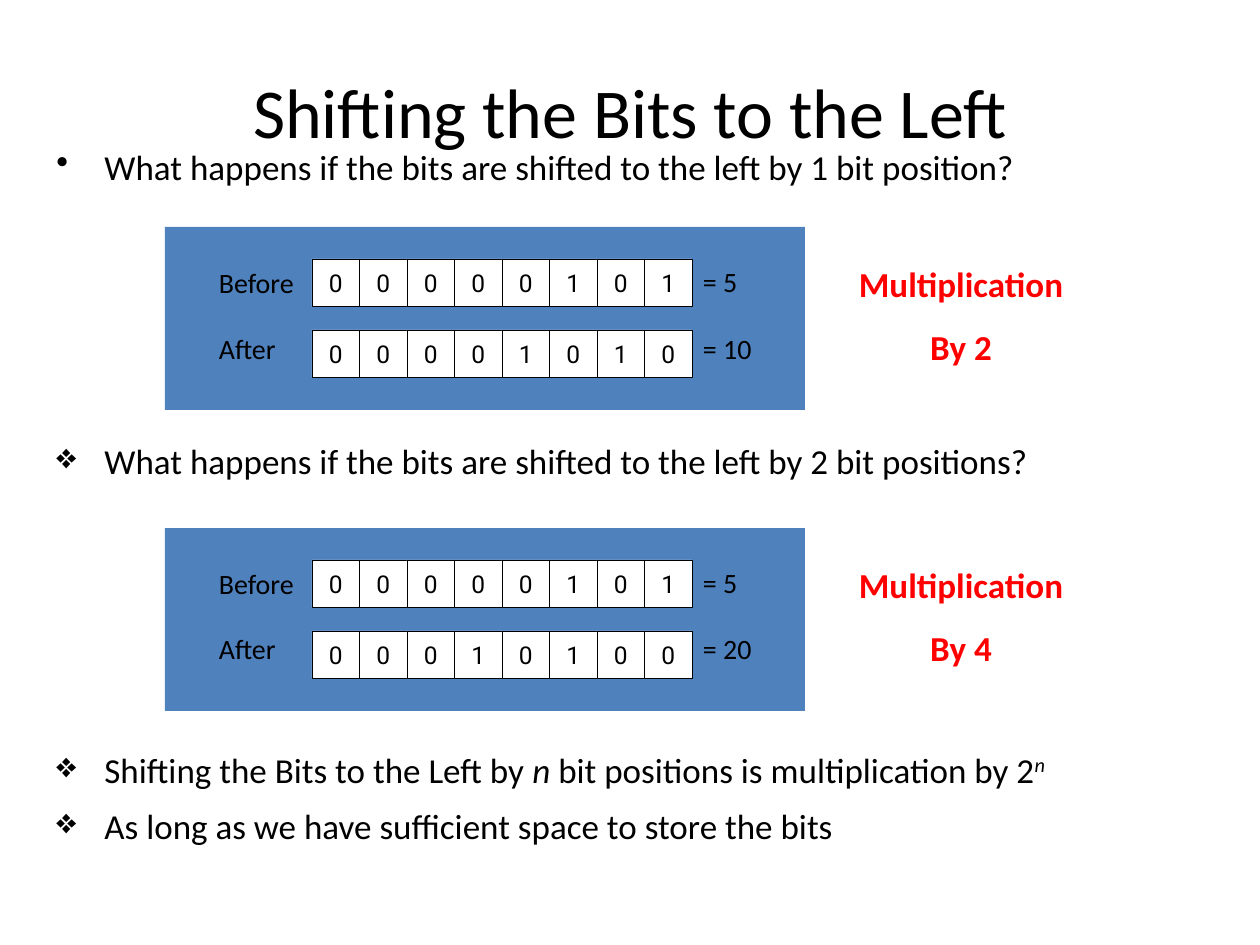
from lxml.etree import SubElement
from pptx import Presentation
from pptx.dml.color import RGBColor
from pptx.enum.shapes import MSO_SHAPE
from pptx.enum.text import MSO_ANCHOR, PP_ALIGN
from pptx.oxml.ns import qn
from pptx.util import Pt

TITLE = "Shifting the Bits to the Left"
# Bullet boxes: top, height, bullet character, paragraphs of (text, style) runs
BULLETS = [
    (139, 72, "•", [[("What happens if the bits are shifted to the left by 1 bit position?", "")]]),
    (433, 72, "❖", [[("What happens if the bits are shifted to the left by 2 bit positions?", "")]]),
    (742, 159, "❖", [
        [("Shifting the Bits to the Left by ", ""), ("n", "italic"),
         (" bit positions is multiplication by 2", ""), ("n", "superscript")],
        [("As long as we have sufficient space to store the bits", "")],
    ]),
]
# Panels: top, rows of (label, bits, result), conclusion
PANELS = [
    (227, [("Before", "00000101", "= 5"), ("After", "00001010", "= 10")],
     ["Multiplication", "By 2"]),
    (528, [("Before", "00000101", "= 5"), ("After", "00010100", "= 20")],
     ["Multiplication", "By 4"]),
]
COLORS = {"text": "000000", "panel": "4F81BD", "cell": "FFFFFF", "accent": "FF0000"}

PANEL_LEFT, PANEL_WIDTH, PANEL_HEIGHT = 165, 640, 183
BITS_LEFT, BITS_WIDTH, BIT_COUNT = 312, 380, 8
CELL = BITS_WIDTH / BIT_COUNT
LABEL_LEFT, RESULT_LEFT = 219, 703
# Offsets of bits, label and result from the panel top, for each row
ROW_OFFSETS = [(32, 39, 38), (103, 104, 104)]


def px(value):
    return round(value * 914400 / 126)


def color(name):
    return RGBColor.from_string(COLORS[name])


def style_font(font, size, name="Calibri", fill="text", bold=False):
    font.size, font.name, font.bold = Pt(size), name, bold
    font.color.rgb = color(fill)


def clear_margins(frame):
    frame.margin_left = frame.margin_top = frame.margin_right = frame.margin_bottom = 0


def add_rectangle(shapes, left, top, width, height, fill):
    shape = shapes.add_shape(MSO_SHAPE.RECTANGLE, px(left), px(top), px(width), px(height))
    shape.shadow.inherit = False
    shape.fill.solid()
    shape.fill.fore_color.rgb = color(fill)
    shape.line.fill.background()
    return shape


def add_label(shapes, left, top, text):
    frame = shapes.add_textbox(px(left), px(top), px(76), px(34)).text_frame
    clear_margins(frame)
    frame.word_wrap = False
    frame.text = text
    style_font(frame.paragraphs[0].runs[0].font, 16)


def add_bit(shapes, left, top, bit):
    cell = add_rectangle(shapes, left, top, CELL, CELL, "cell")
    cell.line.color.rgb = color("text")
    cell.line.width = Pt(0.38)
    frame = cell.text_frame
    clear_margins(frame)
    frame.vertical_anchor = MSO_ANCHOR.MIDDLE
    frame.text = bit
    paragraph = frame.paragraphs[0]
    paragraph.alignment = PP_ALIGN.CENTER
    style_font(paragraph.runs[0].font, 14, "Roboto")


def add_panel(slide, top, rows):
    shapes = slide.shapes.add_group_shape().shapes
    add_rectangle(shapes, PANEL_LEFT, top, PANEL_WIDTH, PANEL_HEIGHT, "panel")
    for (label, bits, result), offsets in zip(rows, ROW_OFFSETS):
        bits_top, label_top, result_top = (top + offset for offset in offsets)
        for column, bit in enumerate(bits):
            add_bit(shapes, BITS_LEFT + column * CELL, bits_top, bit)
        add_label(shapes, LABEL_LEFT, label_top, label)
        add_label(shapes, RESULT_LEFT, result_top, result)


def add_conclusion(slide, top, lines):
    frame = slide.shapes.add_textbox(px(845), px(top), px(232), px(140)).text_frame
    frame.word_wrap = False
    frame.text = "\n".join(lines)
    for paragraph in frame.paragraphs:
        paragraph.alignment = PP_ALIGN.CENTER
        paragraph.line_spacing = 1.5
        style_font(paragraph.runs[0].font, 20, fill="accent", bold=True)


def add_bullets(slide, top, height, character, paragraphs):
    frame = slide.shapes.add_textbox(px(44), px(top), px(1194), px(height)).text_frame
    frame.word_wrap = True
    for index, runs in enumerate(paragraphs):
        paragraph = frame.add_paragraph() if index else frame.paragraphs[0]
        if index:
            paragraph.space_before = Pt(8)
        properties = paragraph._p.get_or_add_pPr()
        properties.set("marL", str(px(48)))
        properties.set("indent", str(px(-48)))
        SubElement(properties, qn("a:buChar"), char=character)
        for text, style in runs:
            run = paragraph.add_run()
            run.text = text
            style_font(run.font, 20)
            run.font.italic = style in ("italic", "superscript")
            if style == "superscript":
                run._r.get_or_add_rPr().set("baseline", "30000")


def main():
    presentation = Presentation()
    presentation.slide_width, presentation.slide_height = px(1260), px(945)
    slide = presentation.slides.add_slide(presentation.slide_layouts[5])

    title = slide.shapes.title
    title.left, title.top, title.width, title.height = px(63), px(32), px(1134), px(157)
    title.text_frame.text = TITLE
    title.text_frame.vertical_anchor = MSO_ANCHOR.MIDDLE
    title.text_frame.paragraphs[0].alignment = PP_ALIGN.CENTER
    style_font(title.text_frame.paragraphs[0].runs[0].font, 40)

    for bullets in BULLETS:
        add_bullets(slide, *bullets)
    for top, rows, conclusion in PANELS:
        add_panel(slide, top, rows)
        add_conclusion(slide, top + 8, conclusion)
    presentation.save("out.pptx")


if __name__ == "__main__":
    main()
